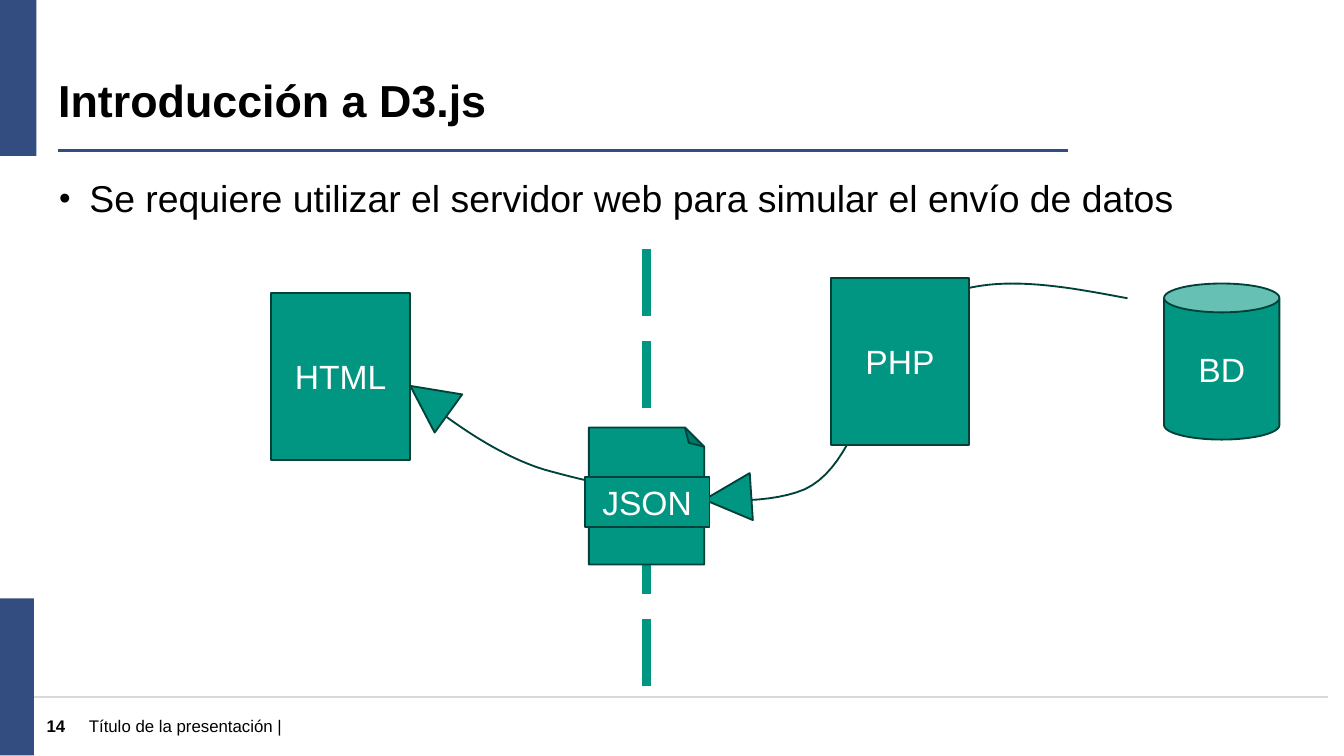
from dataclasses import dataclass

from lxml.etree import SubElement
from pptx import Presentation
from pptx.dml.color import RGBColor
from pptx.enum.dml import MSO_LINE
from pptx.enum.shapes import MSO_CONNECTOR, MSO_SHAPE
from pptx.enum.text import MSO_ANCHOR, MSO_AUTO_SIZE, PP_ALIGN
from pptx.oxml.ns import qn
from pptx.util import Cm, Pt


@dataclass(frozen=True)
class Theme:
    font: str = "Arial"
    navy: RGBColor = RGBColor(0x33, 0x4D, 0x80)
    green: RGBColor = RGBColor(0x00, 0x96, 0x82)
    dark_green: RGBColor = RGBColor(0x00, 0x42, 0x39)
    grey: RGBColor = RGBColor(0xD9, 0xD9, 0xD9)
    black: RGBColor = RGBColor(0, 0, 0)
    white: RGBColor = RGBColor(0xFF, 0xFF, 0xFF)
    title_size: Pt = Pt(24)
    body_size: Pt = Pt(20)
    label_size: Pt = Pt(18)
    footer_size: Pt = Pt(9)
    outline: Pt = Pt(1)


THEME = Theme()


def write(box, text, size, color, anchor, bold=False, align=PP_ALIGN.LEFT):
    """Fill a box with one formatted paragraph and return the paragraph."""
    frame = box.text_frame
    frame.text = text
    frame.word_wrap = True
    frame.auto_size = MSO_AUTO_SIZE.NONE
    frame.vertical_anchor = anchor
    para = frame.paragraphs[0]
    para.alignment = align
    for span in para.runs:
        span.font.name = THEME.font
        span.font.size = size
        span.font.bold = bold
        span.font.color.rgb = color
    return para


def clear_margins(box):
    frame = box.text_frame
    frame.margin_left = frame.margin_right = 0
    frame.margin_top = frame.margin_bottom = 0


def add_text(page, left, top, width, height, *style, **options):
    box = page.shapes.add_textbox(Cm(left), Cm(top), Cm(width), Cm(height))
    clear_margins(box)
    return write(box, *style, **options)


def add_line(page, start, end, color, weight):
    line = page.shapes.add_connector(
        MSO_CONNECTOR.STRAIGHT, Cm(start[0]), Cm(start[1]), Cm(end[0]), Cm(end[1]))
    line.line.color.rgb = color
    line.line.width = weight
    SubElement(line.element.spPr, qn("a:effectLst"))
    return line


def add_solid(page, kind, left, top, width, height, fill, outline=None):
    shape = page.shapes.add_shape(kind, Cm(left), Cm(top), Cm(width), Cm(height))
    shape.shadow.inherit = False
    shape.fill.solid()
    shape.fill.fore_color.rgb = fill
    if outline is None:
        shape.line.fill.background()
    else:
        shape.line.color.rgb = outline
        shape.line.width = THEME.outline
    return shape


def add_curve(page, points):
    """Draw a chain of cubic curves as one fine open outline."""
    steps = 24
    traced = []
    for first in range(0, len(points) - 1, 3):
        a, b, c, d = points[first:first + 4]
        for step in range(1, steps + 1):
            t = step / steps
            u = 1 - t
            traced.append(tuple(
                Cm(u**3 * a[i] + 3 * u * u * t * b[i] + 3 * u * t * t * c[i] + t**3 * d[i])
                for i in (0, 1)))
    builder = page.shapes.build_freeform(Cm(points[0][0]), Cm(points[0][1]))
    builder.add_line_segments(traced, close=False)
    curve = builder.convert_to_shape()
    curve.shadow.inherit = False
    curve.fill.background()
    curve.line.color.rgb = THEME.dark_green
    curve.line.width = THEME.outline


def add_side_bars(page, left, top):
    for x, y in ((0, 0), (-0.05, 11.33)):
        add_solid(page, MSO_SHAPE.RECTANGLE, left + x, top + y, 0.69, 2.97, THEME.navy)


def add_footer(page, left, top, width, height):
    add_line(page, (left, top), (left + width, top), THEME.grey, Pt(1))
    style = (THEME.footer_size, THEME.black, MSO_ANCHOR.MIDDLE)
    add_text(page, left + 1.38, top, 10.24, height, "Título de la presentación |", *style)
    add_text(page, left + 0.58, top, 0.91, height, "14", *style, bold=True)


def add_heading(page, left, top, width, height):
    title = page.shapes.title
    title.left, title.top, title.width, title.height = map(Cm, (left, top, width, height))
    clear_margins(title)
    para = write(title, "Introducción a D3.js", THEME.title_size, THEME.black,
                 MSO_ANCHOR.BOTTOM, bold=True)
    para.line_spacing = 0.9
    rule = top + height + 0.43
    add_line(page, (left, rule), (left + width, rule), THEME.navy, Pt(1.5))


def add_body(page, left, top, width, height):
    para = add_text(
        page, left, top, width, height,
        "Se requiere utilizar el servidor web para simular el envío de datos",
        THEME.body_size, THEME.black, MSO_ANCHOR.TOP)
    # Hanging bullet
    properties = para._p.get_or_add_pPr()
    properties.set("marL", str(Cm(0.57)))
    properties.set("indent", str(-Cm(0.57)))
    SubElement(properties, qn("a:buSzPct"), val="88000")
    SubElement(properties, qn("a:buFont"), typeface=THEME.font)
    SubElement(properties, qn("a:buChar"), char="•")
    para.line_spacing = 0.9


def add_data_flow(page, left, top, height):
    def add_node(kind, x, y, node_width, node_height, label=""):
        node = add_solid(page, kind, left + x, top + y, node_width, node_height,
                         THEME.green, THEME.dark_green)
        if label:
            write(node, label, THEME.label_size, THEME.white, MSO_ANCHOR.MIDDLE,
                  align=PP_ALIGN.CENTER)
        return node

    # Boundary between client and server
    middle = left + 7.09
    boundary = add_line(page, (middle, top), (middle, top + height), THEME.green, Pt(4.5))
    boundary.line.dash_style = MSO_LINE.LONG_DASH

    # Route of the data from the database to the page
    route = ((16.18, 0.94), (14.81, 0.68), (13.44, 0.43), (12.42, 1.04),
             (11.38, 1.62), (11.25, 4.01), (10.08, 4.55),
             (8.89, 5.05), (6.53, 4.55), (5.31, 4.22),
             (4.06, 3.91), (2.69, 2.69), (2.69, 2.69))
    add_curve(page, [(left + x, top + y) for x, y in route])

    # JSON file, with its fold at the top right
    document = add_node(MSO_SHAPE.FOLDED_CORNER, 6, 3.38, 2.18, 2.59)
    document.rotation = 180
    document.element.spPr.get_or_add_xfrm().set("flipH", "1")

    add_node(MSO_SHAPE.CAN, 16.87, 0.66, 2.18, 2.95, "BD")
    add_node(MSO_SHAPE.RECTANGLE, 0, 0.84, 2.62, 3.15, "HTML")

    # Arrowheads along the route
    for x, y, angle in ((8.18, 4.27, 266.2), (2.54, 2.41, 305.9)):
        add_node(MSO_SHAPE.ISOSCELES_TRIANGLE, x, y, 0.89, 0.89).rotation = angle

    add_node(MSO_SHAPE.RECTANGLE, 10.57, 0.56, 2.62, 3.15, "PHP")
    add_node(MSO_SHAPE.RECTANGLE, 5.92, 4.32, 2.36, 0.94, "JSON")


def main():
    deck = Presentation()
    deck.slide_width, deck.slide_height = Cm(25.4), Cm(14.29)
    page = deck.slides.add_slide(deck.slide_layouts[5])
    add_footer(page, 0.3, 13.18, 24.8, 1.09)
    add_side_bars(page, 0, -0.02)
    add_heading(page, 1.1, 0.81, 19.09, 1.6)
    add_body(page, 1.12, 3.4, 23.16, 9.35)
    add_data_flow(page, 5.13, 4.7, 8.48)
    deck.save("out.pptx")


if __name__ == "__main__":
    main()
